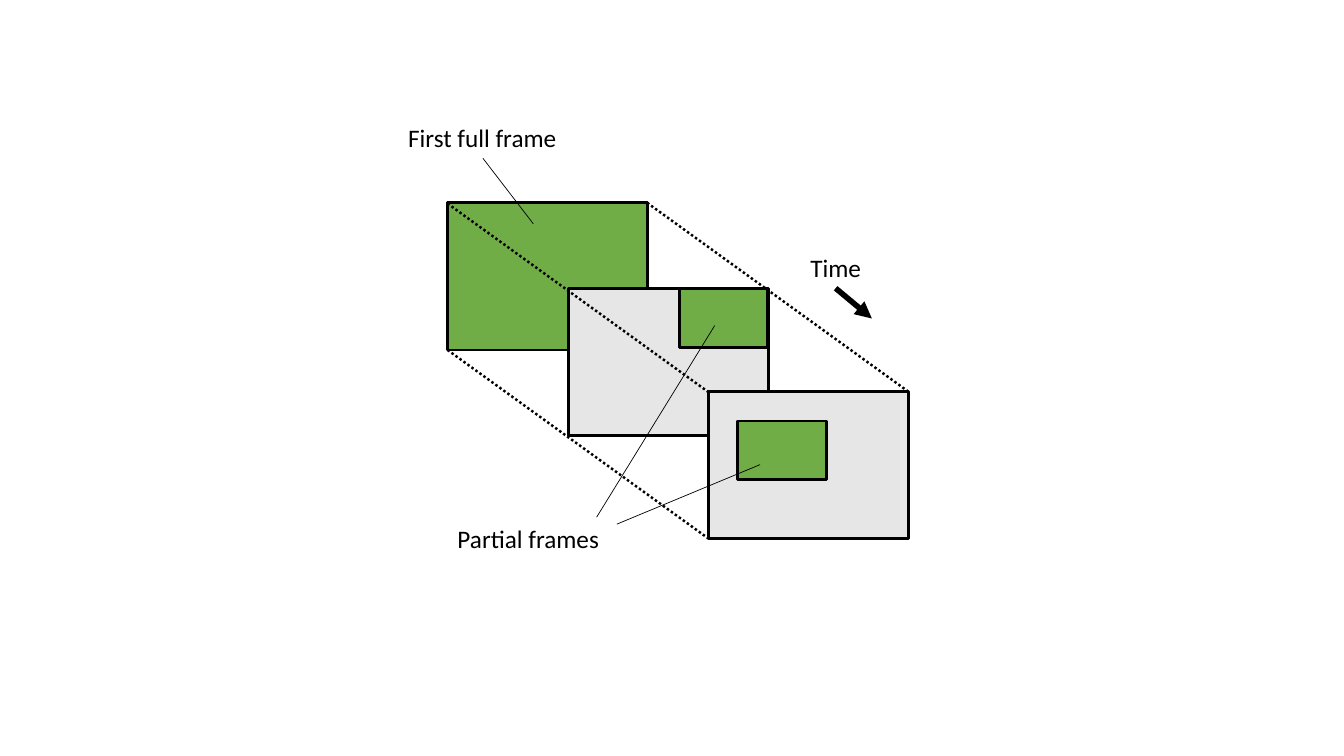
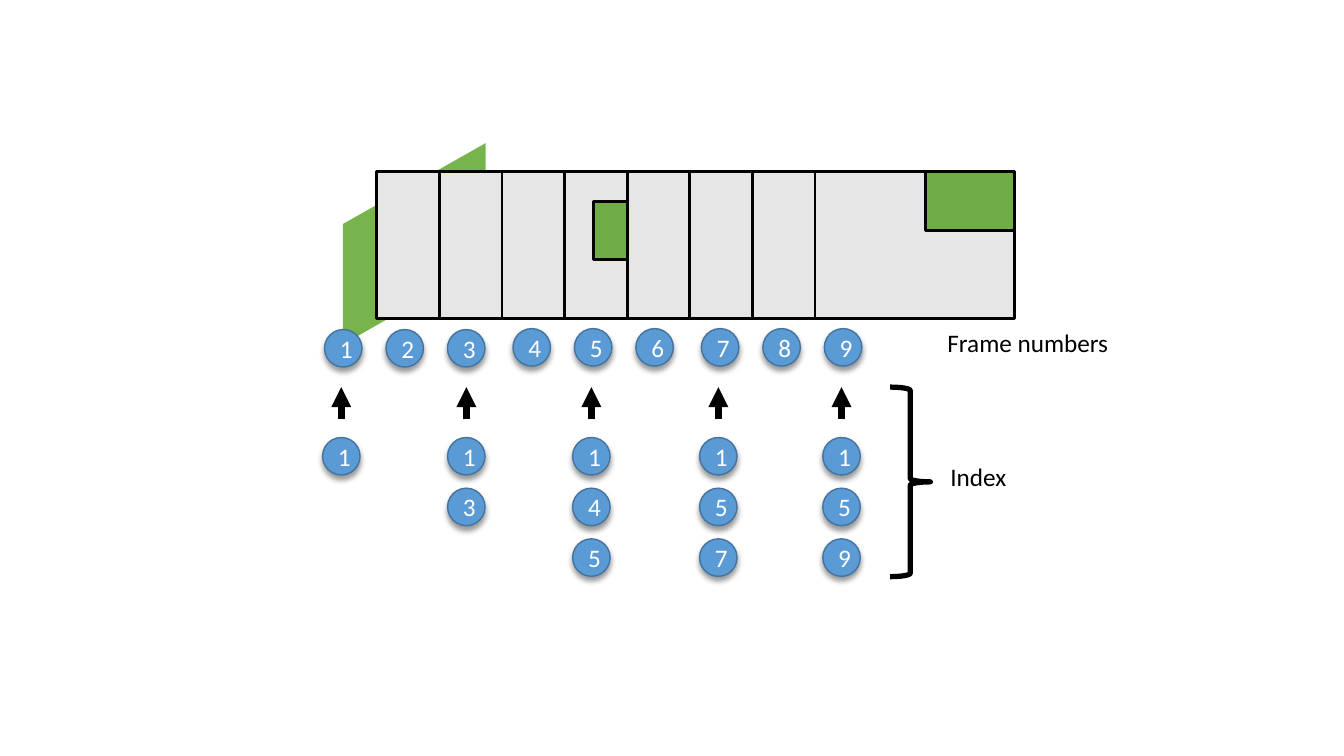
from lxml import etree
from pptx import Presentation
from pptx.dml.color import RGBColor
from pptx.enum import dml, shapes, text
from pptx.oxml import ns
from pptx.util import Pt

BLACK = RGBColor(0x00, 0x00, 0x00)
WHITE = RGBColor(0xFF, 0xFF, 0xFF)
GREEN = RGBColor(0x70, 0xAD, 0x47)
LIT_GREEN = RGBColor(0x77, 0xB4, 0x4D)
GREY = RGBColor(0xE7, 0xE6, 0xE6)
BLUE = RGBColor(0x5B, 0x9B, 0xD5)
DARK_BLUE = RGBColor(0x43, 0x73, 0x9E)

FRAME = (142.6, 105.1)
PARTIAL = (63.4, 42)
CORNER = (79, 0)
INSIDE = (20.5, 21)
CIRCLE = 26.8
FONT = {"size": Pt(18), "name": "Calibri"}
LABEL_BOX = {"word_wrap": False, "auto_size": text.MSO_AUTO_SIZE.SHAPE_TO_FIT_TEXT}
DOTTED = {"width": Pt(1.75), "dash_style": dml.MSO_LINE.ROUND_DOT}
THIN = {"width": Pt(0.5)}


def add_box(parent, kind, left, top, size, fill, line=BLACK, weight=2):
    box = parent.add_shape(kind, Pt(left), Pt(top), Pt(size[0]), Pt(size[1]))
    box.shadow.inherit = False
    if fill is None:
        box.fill.background()
    else:
        box.fill.solid()
        box.fill.fore_color.rgb = fill
    box.line.color.rgb = line
    box.line.width = Pt(weight)
    return box


def write(box, words, color):
    para = box.text_frame.paragraphs[0]
    span = para.add_run()
    span.text = words
    for name, value in FONT.items():
        setattr(span.font, name, value)
    span.font.color.rgb = color
    return para


deck = Presentation()
deck.slide_width, deck.slide_height = Pt(960), Pt(540)
frames_page, index_page = [deck.slides.add_slide(deck.slide_layouts[6]) for _ in range(2)]

# The first full frame: flat on one slide, tilted on the other
add_box(frames_page.shapes, shapes.MSO_SHAPE.RECTANGLE, 319.7, 144.9, FRAME, GREEN)
outline = index_page.shapes.build_freeform(Pt(245), Pt(160))
outline.add_line_segments([(Pt(x), Pt(y)) for x, y in [(347, 102.2), (347, 188), (245, 246)]])
tilted = outline.convert_to_shape()
tilted.shadow.inherit = False
tilted.fill.solid()
tilted.fill.fore_color.rgb = LIT_GREEN
tilted.line.fill.background()

# Later frames, each grouped with its partial frame
later_frames = [(frames_page, 406.1, 206.2, CORNER), (frames_page, 506.2, 279.7, INSIDE)]
for i in range(8):
    later_frames.append((index_page, 269.2 + 44.7 * i, 122.7, INSIDE if i == 3 else CORNER))
for page, left, top, (dx, dy) in later_frames:
    group = page.shapes.add_group_shape().shapes
    add_box(group, shapes.MSO_SHAPE.RECTANGLE, left, top, FRAME, GREY)
    add_box(group, shapes.MSO_SHAPE.RECTANGLE, left + dx, top + dy, PARTIAL, GREEN)

# Index columns: left edge and the frames needed
index_columns = [(230.4, "1"), (319.7, "13"), (409, "145"), (499.7, "157"), (587.7, "159")]

# Lines and arrows: page, start, end, format, arrowhead
lines = [
    (frames_page, (x, y), (x + 186.5, y + 134.8), DOTTED, False)
    for x, y in [(462.3, 144.9), (319.7, 145.4), (319.7, 250)]
]
lines += [
    (frames_page, (596.9, 205.9), (622.8, 227.5), {"width": Pt(4)}, True),
    (frames_page, (344.9, 113), (380.9, 159.8), THIN, False),
    (frames_page, (510.5, 232.6), (426.2, 369.4), THIN, False),
    (frames_page, (542.9, 331.9), (440.6, 374.4), THIN, False),
]
for left, _ in index_columns:
    x = left + CIRCLE / 2
    lines.append((index_page, (x, 299.5), (x, 276.5), {"width": Pt(4.75)}, True))
for page, start, end, style, arrow in lines:
    link = page.shapes.add_connector(
        shapes.MSO_CONNECTOR.STRAIGHT, *[Pt(value) for value in start + end])
    link.line.color.rgb = BLACK
    for name, value in style.items():
        setattr(link.line, name, value)
    properties = link._element.spPr
    if arrow:
        stroke = properties.find(ns.qn("a:ln"))
        etree.SubElement(stroke, ns.qn("a:tailEnd"), type="triangle")
    etree.SubElement(properties, ns.qn("a:effectLst"))

# Numbered circles: a row of frame numbers above the index columns
circles = []
for i in range(9):
    circles.append((231.8 + 134.6 * (i // 3) + 43.9 * (i % 3), 235.4 if i < 3 else 234.7, str(i + 1)))
for left, digits in index_columns:
    for i, digit in enumerate(digits):
        circles.append((left, 312.5 + 36.2 * i, digit))
for left, top, digit in circles:
    circle = add_box(index_page.shapes, shapes.MSO_SHAPE.OVAL, left, top,
                     (CIRCLE, CIRCLE), BLUE, DARK_BLUE, 1)
    effects = circle._element.spPr.find(ns.qn("a:effectLst"))
    shadow = etree.SubElement(effects, ns.qn("a:outerShdw"), blurRad=str(Pt(4)),
                              dist=str(Pt(3)), dir="5400000", rotWithShape="0")
    shade = etree.SubElement(shadow, ns.qn("a:srgbClr"), val=str(BLACK))
    etree.SubElement(shade, ns.qn("a:alpha"), val="40000")
    circle.text_frame.vertical_anchor = text.MSO_ANCHOR.MIDDLE
    write(circle, digit, WHITE).alignment = text.PP_ALIGN.CENTER

labels = [
    (frames_page, 571.7, 176.4, 51.1, "Time"),
    (frames_page, 284.4, 83.5, 121.7, "First full frame"),
    (frames_page, 319.7, 370.1, 116.6, "Partial frames"),
    (index_page, 669.6, 230.4, 131, "Frame numbers"),
    (index_page, 671.8, 326.2, 54.7, "Index"),
]
for page, left, top, width, words in labels:
    label = page.shapes.add_textbox(Pt(left), Pt(top), Pt(width), Pt(29))
    for name, value in LABEL_BOX.items():
        setattr(label.text_frame, name, value)
    write(label, words, BLACK)

add_box(index_page.shapes, shapes.MSO_SHAPE.RIGHT_BRACE, 635.8, 276.5, (28.8, 135.4), None, weight=3.75)

deck.save("out.pptx")
